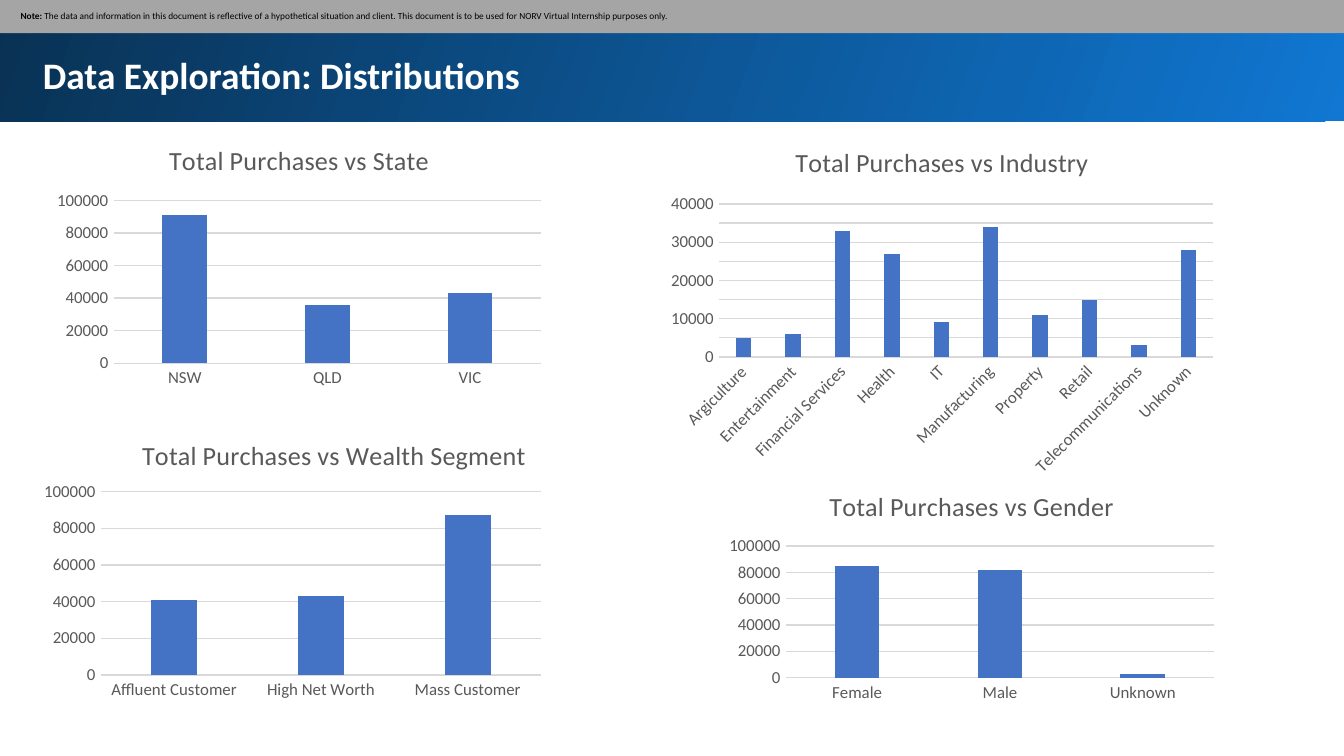
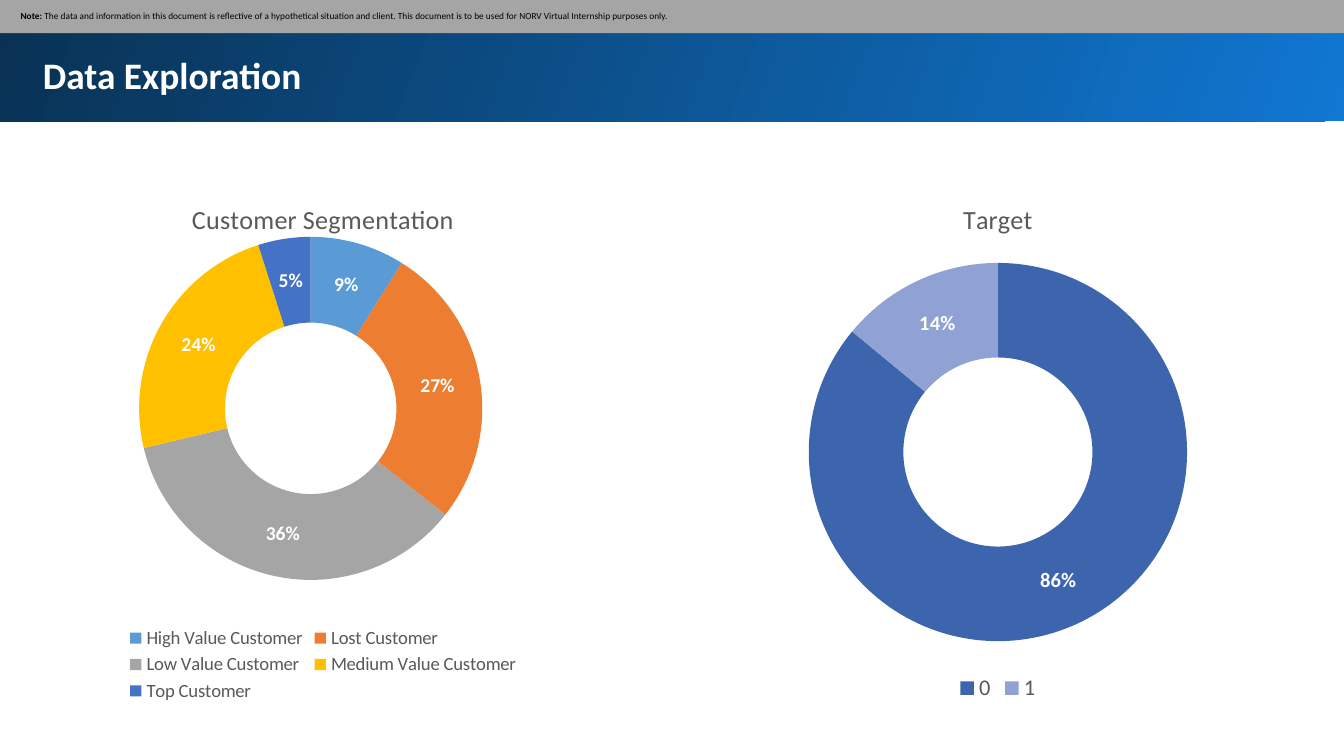
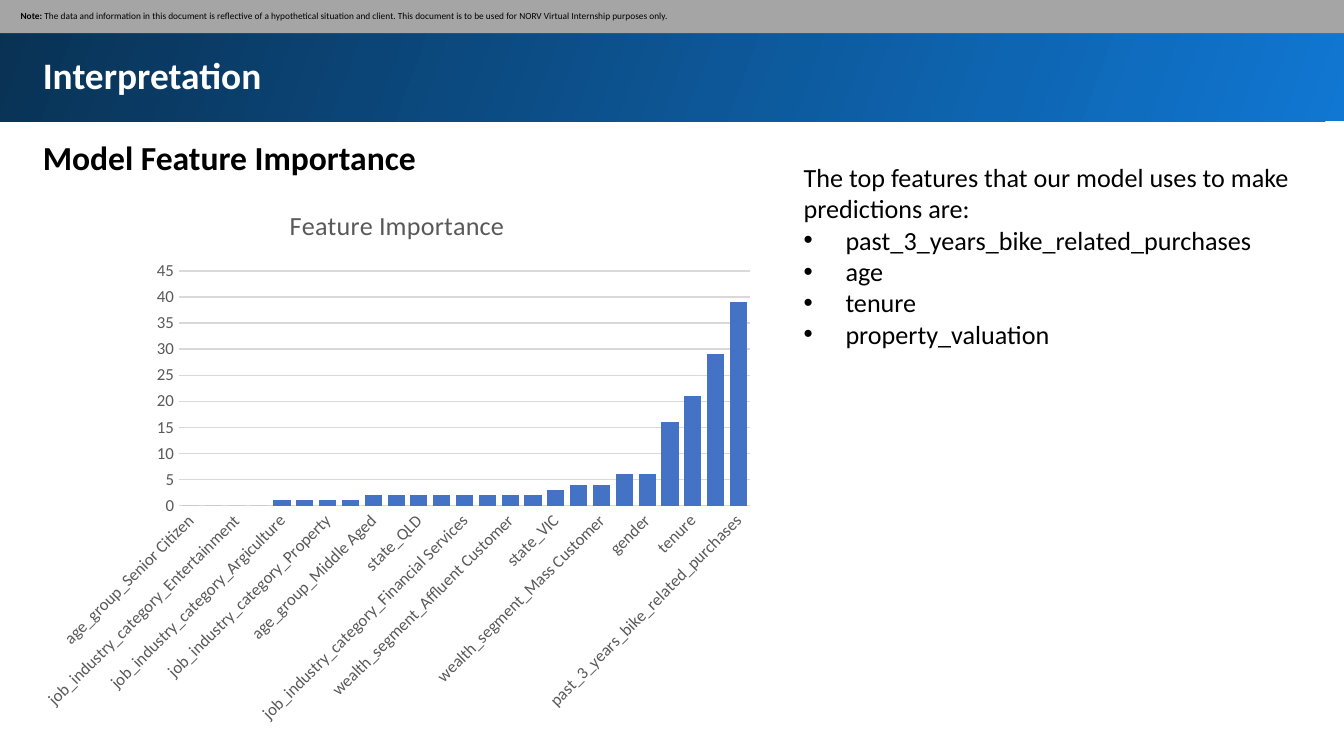
from lxml import etree
from pptx import Presentation
from pptx.chart.data import CategoryChartData
from pptx.dml.color import RGBColor
from pptx.enum.chart import XL_CHART_TYPE, XL_LEGEND_POSITION, XL_TICK_MARK
from pptx.enum.shapes import MSO_SHAPE
from pptx.enum.text import MSO_ANCHOR
from pptx.oxml import parse_xml
from pptx.oxml.ns import nsdecls, qn
from pptx.util import Cm, Pt

FACE = "Calibri"
WHITE, BLACK, GREY = "FFFFFF", "000000", "595959"
BAND_LIGHT, BAND_DARK, NOTE_FILL = "1077D2", "093153", "A5A5A5"
BAR, GRID = "4472C4", "D9D9D9"
NOTE = ("The data and information in this document is reflective of a hypothetical "
        "situation and client. This document is to be used for NORV Virtual "
        "Internship purposes only.")


def rgb(value):
    return RGBColor.from_string(value)


def style(font, size, color, bold=False):
    font.color.rgb = rgb(color)
    for key, value in dict(name=FACE, size=Pt(size), bold=bold).items():
        setattr(font, key, value)


def add_run(paragraph, text, size, color, bold=False):
    run = paragraph.add_run()
    run.text = text
    style(run.font, size, color, bold)


def set_frame(frame, inset_x, inset_y, wrap=True, anchor=MSO_ANCHOR.TOP):
    settings = dict(margin_left=Cm(inset_x), margin_right=Cm(inset_x), margin_top=Cm(inset_y),
                    margin_bottom=Cm(inset_y), word_wrap=wrap, vertical_anchor=anchor)
    for key, value in settings.items():
        setattr(frame, key, value)


def add_band(slide, box):
    band = slide.shapes.add_shape(MSO_SHAPE.RECTANGLE, *map(Cm, box))
    band.shadow.inherit = False
    band.line.fill.background()
    return band


def add_text(slide, box, inset_x=0.25, inset_y=0.13, wrap=True):
    frame = slide.shapes.add_textbox(*map(Cm, box)).text_frame
    set_frame(frame, inset_x, inset_y, wrap)
    return frame


def add_base_slide(deck, title):
    """Add a slide with the title band and the note strip."""
    slide = deck.slides.add_slide(deck.slide_layouts[6])
    header = add_band(slide, (-0.05, -0.05, 25.52, 2.34))
    header.fill.gradient()
    header.fill.gradient_angle = 160
    for stop, color in zip(header.fill.gradient_stops, (BAND_LIGHT, BAND_DARK)):
        stop.color.rgb = rgb(color)

    heading = add_text(slide, (0.56, 0.74, 23.8, 1.35), inset_y=0.25)
    add_run(heading.paragraphs[0], title, 20, WHITE, True)

    strip = add_band(slide, (-0.03, -0.03, 25.48, 0.66))
    strip.fill.solid()
    strip.fill.fore_color.rgb = rgb(NOTE_FILL)
    set_frame(strip.text_frame, 0.42, 0.13, anchor=MSO_ANCHOR.MIDDLE)
    note = strip.text_frame.paragraphs[0]
    note.alignment = 1
    add_run(note, "Note: ", 5, BLACK, True)
    add_run(note, NOTE, 5, BLACK)
    return slide


def set_layout(parent, **settings):
    """Give a chart part a manual layout, in fractions of the chart."""
    layout = parent.find(qn("c:layout"))
    if layout is None:
        layout = parse_xml(f"<c:layout {nsdecls('c')}/>")
        before = parent.find(qn("c:tx"))
        parent.insert(0 if before is None else parent.index(before) + 1, layout)
    manual = etree.SubElement(layout, qn("c:manualLayout"))
    for key, value in settings.items():
        etree.SubElement(manual, qn(f"c:{key}")).set("val", str(value))


def add_chart(slide, box, kind, title, values):
    data = CategoryChartData()
    data.categories = list(values)
    data.add_series("Series 1", list(values.values()))
    chart = slide.shapes.add_chart(kind, *map(Cm, box), data).chart
    style(chart.font, 10, BLACK)
    chart.has_title = True
    add_run(chart.chart_title.text_frame.paragraphs[0], title, 14, GREY)
    chart.has_legend = False
    return chart


def add_columns(slide, box, title, values, gap=219, overlap=-27):
    chart = add_chart(slide, box, XL_CHART_TYPE.COLUMN_CLUSTERED, title, values)
    plot = chart.plots[0]
    for key, value in dict(gap_width=gap, overlap=overlap, vary_by_categories=False).items():
        setattr(plot, key, value)
    bars = plot.series[0].format.fill
    bars.solid()
    bars.fore_color.rgb = rgb(BAR)

    for axis in (chart.category_axis, chart.value_axis):
        axis.major_tick_mark = axis.minor_tick_mark = XL_TICK_MARK.NONE
        style(axis.tick_labels.font, 9, GREY)
    chart.value_axis.format.line.fill.background()
    chart.value_axis.has_major_gridlines = True
    for part in (chart.category_axis, chart.value_axis.major_gridlines):
        part.format.line.color.rgb = rgb(GRID)
        part.format.line.width = Pt(0.75)
    return chart


def add_doughnut(slide, box, title, values, colors, label_size, legend_size):
    chart = add_chart(slide, box, XL_CHART_TYPE.DOUGHNUT, title, values)
    plot = chart.plots[0]
    plot.vary_by_categories = True
    plot._element.find(qn("c:holeSize")).set("val", "60")
    series = plot.series[0]
    for index, color in enumerate(colors):
        slice_format = series.points[index].format
        slice_format.fill.solid()
        slice_format.fill.fore_color.rgb = rgb(color)
        slice_format.line.fill.background()

    labels = series.data_labels
    for key, value in dict(show_percentage=True, show_value=False, number_format="0%",
                           number_format_is_linked=False).items():
        setattr(labels, key, value)
    style(labels.font, label_size, WHITE, True)

    chart.has_legend = True
    chart.legend.position = XL_LEGEND_POSITION.BOTTOM
    chart.legend.include_in_layout = False
    style(chart.legend.font, legend_size, GREY)
    return chart


def build_distributions(deck):
    slide = add_base_slide(deck, "Data Exploration: Distributions")
    add_columns(slide, (0.89, 2.36, 9.53, 5.08), "Total Purchases vs State",
                {"NSW": 91000, "QLD": 36000, "VIC": 43000})
    wealth = add_columns(
        slide, (0.64, 7.85, 9.78, 5.49), "Total Purchases vs Wealth Segment",
        {"Affluent Customer": 41000, "High Net Worth": 43000, "Mass Customer": 87000})
    set_layout(wealth.chart_title._element, xMode="edge", yMode="edge", x=0.2, y=0.06)
    add_columns(slide, (12.47, 2.36, 10.67, 6.78), "Total Purchases vs Industry", {
        "Argiculture": 5000, "Entertainment": 6000, "Financial Services": 33000,
        "Health": 27000, "IT": 9000, "Manufacturing": 34000, "Property": 11000,
        "Retail": 15000, "Telecommunications": 3000, "Unknown": 28000})
    add_columns(slide, (13.59, 8.92, 9.55, 4.45), "Total Purchases vs Gender",
                {"Female": 85000, "Male": 82000, "Unknown": 3000})


def build_segments(deck):
    slide = add_base_slide(deck, "Data Exploration")
    segments = add_doughnut(
        slide, (0.3, 3.38, 11.61, 9.98), "Customer Segmentation",
        {"High Value Customer": 9, "Lost Customer": 27, "Low Value Customer": 36,
         "Medium Value Customer": 24, "Top Customer": 5},
        ("5B9BD5", "ED7D31", "A5A5A5", "FFC000", "4472C4"), 10.5, 10)
    plot_area = segments._chartSpace.chart.plotArea
    set_layout(plot_area, layoutTarget="inner", xMode="edge", yMode="edge",
               x=0.2, y=0.11, w=0.56, h=0.65)
    add_doughnut(slide, (13.69, 3.38, 10.34, 9.98), "Target", {"0": 86, "1": 14},
                 ("3C65AE", "90A2D3"), 11, 12)


def add_findings(slide, box, lead, features):
    frame = add_text(slide, box)
    add_run(frame.paragraphs[0], lead, 14, BLACK)
    for feature in features:
        paragraph = frame.add_paragraph()
        add_run(paragraph, feature, 14, BLACK)
        properties = paragraph._p.get_or_add_pPr()
        properties.set("marL", str(Cm(0.79)))
        properties.set("indent", str(-Cm(0.79)))
        etree.SubElement(properties, qn("a:buFont")).set("typeface", "Arial")
        etree.SubElement(properties, qn("a:buChar")).set("char", "•")


def build_interpretation(deck):
    slide = add_base_slide(deck, "Interpretation")
    subtitle = add_text(slide, (0.56, 2.46, 7.65, 1.02), wrap=False)
    add_run(subtitle.paragraphs[0], "Model Feature Importance", 18, BLACK, True)
    add_columns(slide, (0.56, 3.48, 13.89, 10.41), "Feature Importance", {
        "age_group_Senior Citizen": 0,
        "job_industry_category_Telecommunications": 0,
        "job_industry_category_Entertainment": 0,
        "age_group_Young Adult": 0,
        "job_industry_category_Argiculture": 1,
        "job_industry_category_IT": 1,
        "job_industry_category_Property": 1,
        "job_industry_category_Retail": 1,
        "age_group_Middle Aged": 2,
        "job_industry_category_Health": 2,
        "state_QLD": 2,
        "wealth_segment_High Net Worth": 2,
        "job_industry_category_Financial Services": 2,
        "job_industry_category_Manufacturing": 2,
        "wealth_segment_Affluent Customer": 2,
        "job_industry_category_Unknown": 2,
        "state_VIC": 3,
        "state_NSW": 4,
        "wealth_segment_Mass Customer": 4,
        "owns_car": 6,
        "gender": 6,
        "property_valuation": 16,
        "tenure": 21,
        "age": 29,
        "past_3_years_bike_related_purchases": 39,
    }, gap=33, overlap=0)
    add_findings(slide, (14.94, 2.92, 9.86, 5.05),
                 "The top features that our model uses to make predictions are:",
                 ("past_3_years_bike_related_purchases", "age", "tenure",
                  "property_valuation"))


def main():
    deck = Presentation()
    deck.slide_width, deck.slide_height = Cm(25.4), Cm(14.29)
    build_distributions(deck)
    build_segments(deck)
    build_interpretation(deck)
    deck.save("out.pptx")


if __name__ == "__main__":
    main()
